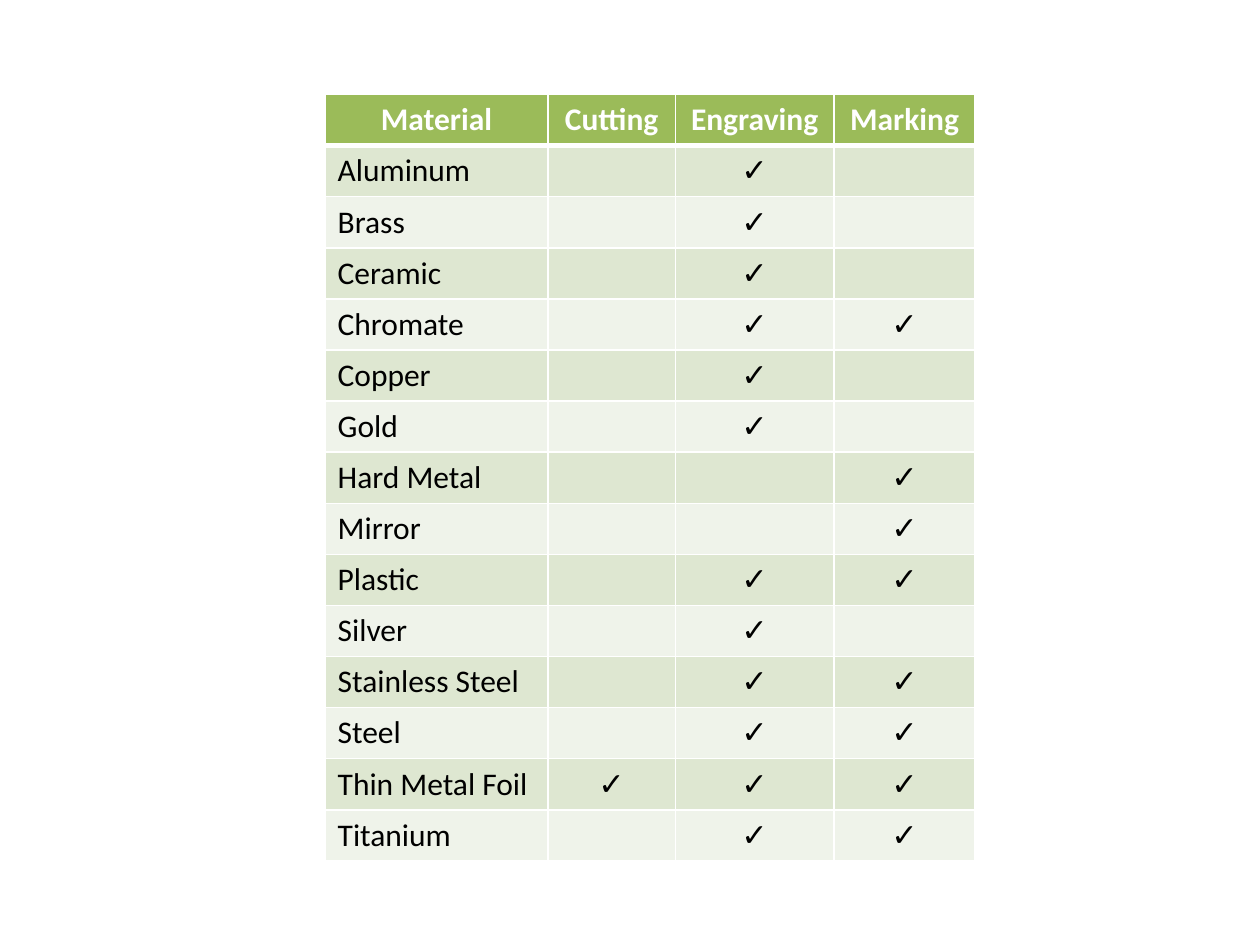
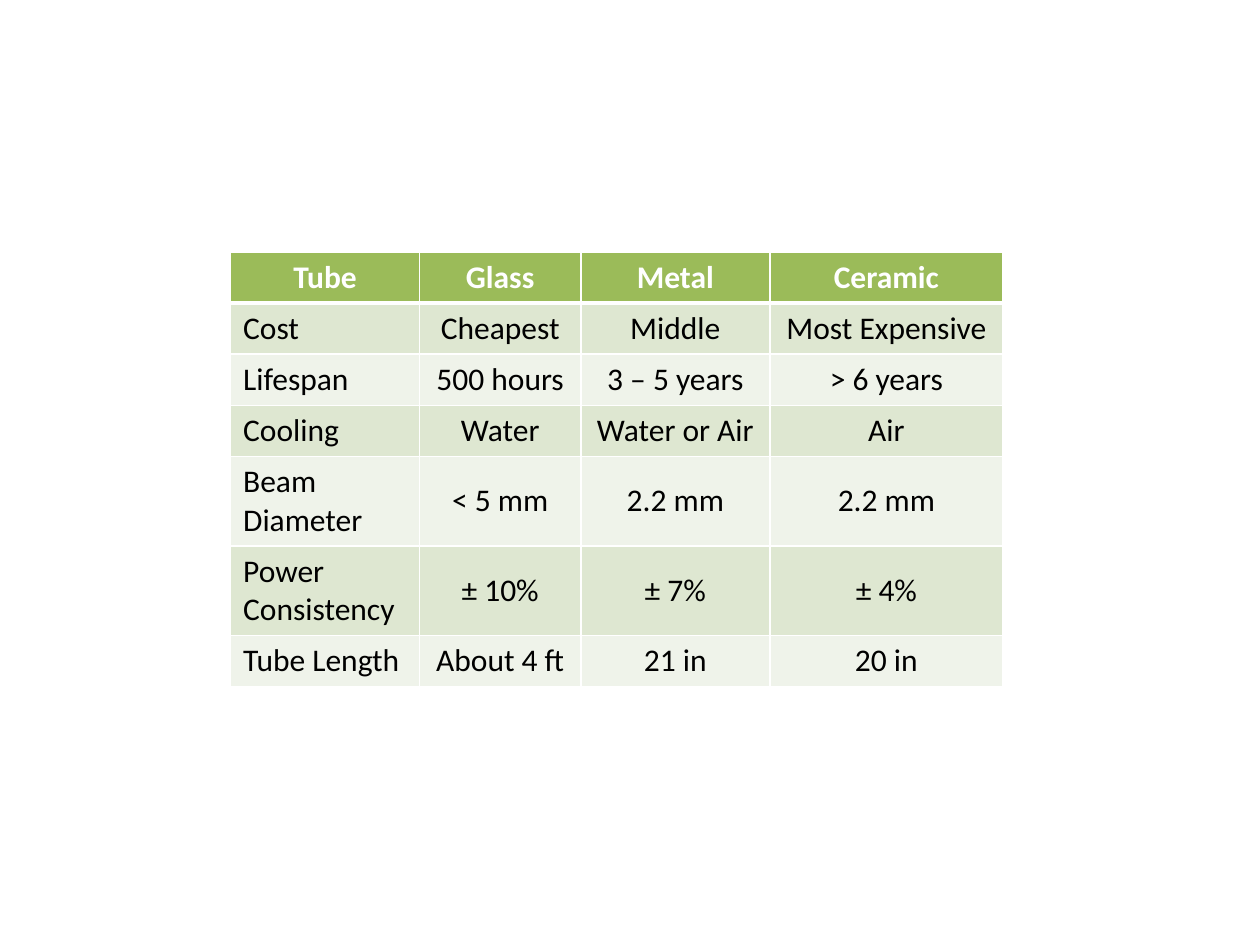
import pptx
import pptx.util
import pptx.dml.color
import pptx.enum.text
import pptx.oxml
from pptx.util import Inches

FONT = "Calibri"
WHITE = "FFFFFF"
BLACK = "000000"
HEADER_GREEN = "9BBB59"
BAND_GREENS = ("DEE7D1", "EFF3EA")
ROW_HEIGHT = Inches(6.08 / 15)
CHECK = "\u2713"
ALIGN = pptx.enum.text.PP_ALIGN
ANCHOR = pptx.enum.text.MSO_ANCHOR

PROCESSES = ("Cutting", "Engraving", "Marking")
MATERIALS = {
    "Aluminum": "E",
    "Brass": "E",
    "Ceramic": "E",
    "Chromate": "EM",
    "Copper": "E",
    "Gold": "E",
    "Hard Metal": "M",
    "Mirror": "M",
    "Plastic": "EM",
    "Silver": "E",
    "Stainless Steel": "EM",
    "Steel": "EM",
    "Thin Metal Foil": "CEM",
    "Titanium": "EM",
}
TUBES = [
    ("Tube", "Glass", "Metal", "Ceramic"),
    ("Cost", "Cheapest", "Middle", "Most Expensive"),
    ("Lifespan", "500 hours", "3 \u2013 5 years", "> 6 years"),
    ("Cooling", "Water", "Water or Air", "Air"),
    ("Beam Diameter", "< 5 mm", "2.2 mm", "2.2 mm"),
    ("Power Consistency", "\u00b1 10%", "\u00b1 7%", "\u00b1 4%"),
    ("Tube Length", "About 4 ft", "21 in", "20 in"),
]


def color(hex_value):
    return pptx.dml.color.RGBColor.from_string(hex_value)


def set_borders(cell, top, bottom):
    properties = cell._tc.get_or_add_tcPr()
    widths = {"lnL": 1, "lnR": 1, "lnT": top, "lnB": bottom}
    for position, (side, width) in enumerate(widths.items()):
        border = pptx.oxml.parse_xml(
            f'<a:{side} xmlns:a="http://schemas.openxmlformats.org/drawingml/2006/main" '
            f'w="{pptx.util.Pt(width)}"><a:solidFill><a:srgbClr val="{WHITE}"/>'
            f'</a:solidFill></a:{side}>'
        )
        properties.insert(position, border)


def fill_cell(cell, text, row, column):
    is_header = row == 0
    is_label = column == 0 and not is_header
    cell.fill.solid()
    cell.fill.fore_color.rgb = color(HEADER_GREEN if is_header else BAND_GREENS[(row - 1) % 2])
    set_borders(cell, top=3 if row == 1 else 1, bottom=3 if is_header else 1)
    if is_header:
        cell.vertical_anchor = ANCHOR.TOP
    else:
        cell.vertical_anchor = ANCHOR.BOTTOM if is_label else ANCHOR.MIDDLE
    cell.text = text
    paragraph = cell.text_frame.paragraphs[0]
    paragraph.alignment = ALIGN.LEFT if is_label else ALIGN.CENTER
    paragraph.font.name = FONT
    paragraph.font.size = pptx.util.Pt(18)
    paragraph.font.bold = is_header
    paragraph.font.color.rgb = color(WHITE if is_header else BLACK)


def add_comparison(presentation, rows, left, top, height, column_widths):
    slide = presentation.slides.add_slide(presentation.slide_layouts[6])
    frame = slide.shapes.add_table(
        len(rows), len(column_widths), Inches(left), Inches(top),
        Inches(sum(column_widths)), Inches(height),
    )
    comparison = frame.table
    for column, width in zip(comparison.columns, column_widths):
        column.width = Inches(width)
    for row_index, texts in enumerate(rows):
        comparison.rows[row_index].height = ROW_HEIGHT
        for column_index, text in enumerate(texts):
            fill_cell(comparison.cell(row_index, column_index), text, row_index, column_index)
    frame.height = Inches(height)


def material_rows():
    rows = [("Material", *PROCESSES)]
    for material, suited in MATERIALS.items():
        rows.append((material, *(CHECK if process[0] in suited else "" for process in PROCESSES)))
    return rows


def main():
    presentation = pptx.Presentation()
    presentation.slide_width = Inches(10)
    presentation.slide_height = Inches(7.5)
    add_comparison(presentation, material_rows(), 2.58, 0.75, 6.08, (1.77, 1.01, 1.26, 1.12))
    add_comparison(presentation, TUBES, 1.83, 2, 3.43, (1.5, 1.28, 1.5, 1.85))
    presentation.save("out.pptx")


main()
